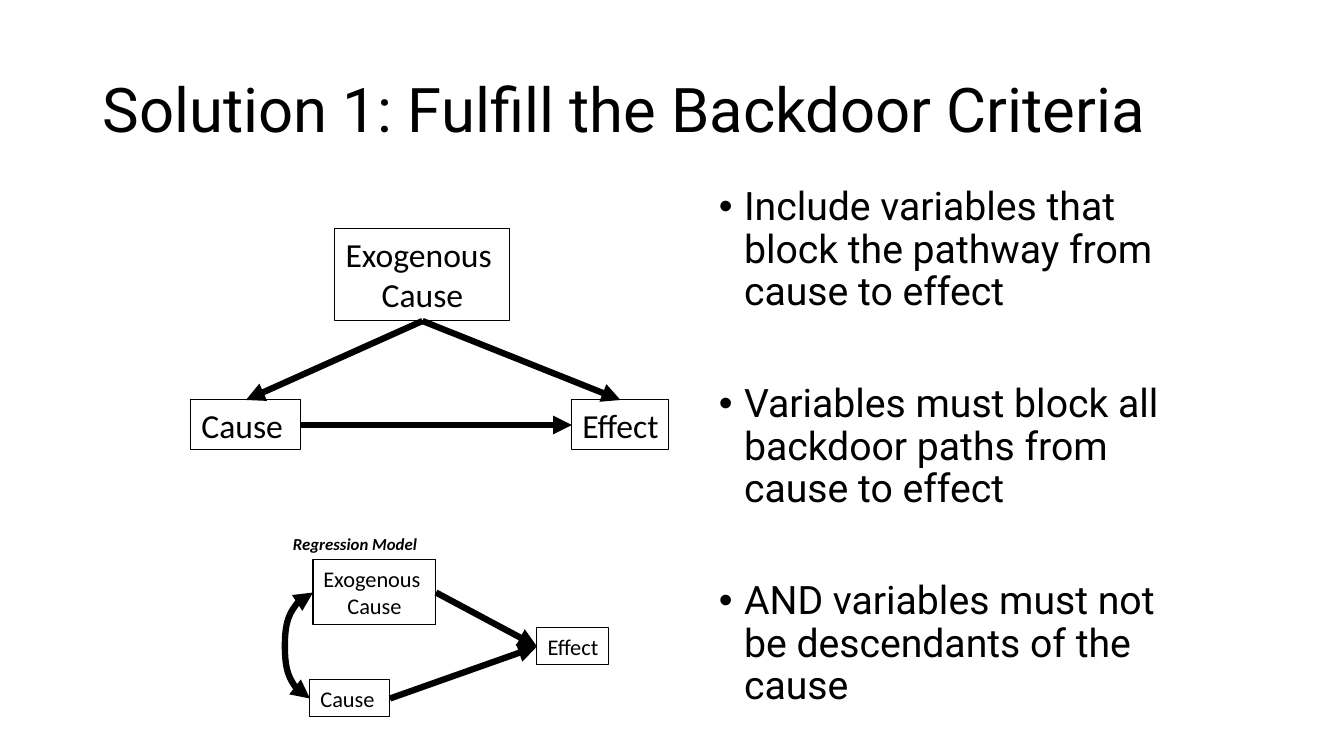
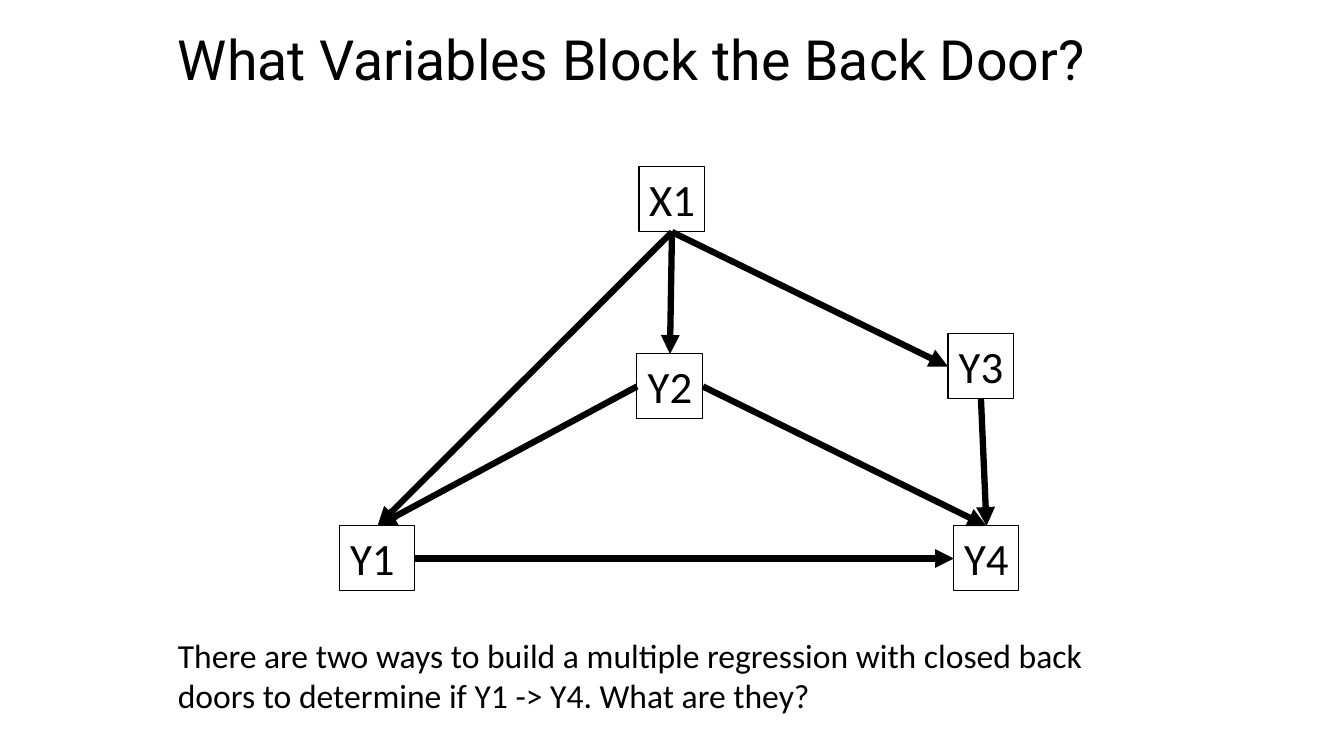
from lxml import etree
from pptx import Presentation
from pptx.dml.color import RGBColor
from pptx.enum.shapes import MSO_CONNECTOR, MSO_SHAPE
from pptx.enum.text import MSO_ANCHOR, MSO_AUTO_SIZE, PP_ALIGN
from pptx.oxml.ns import qn
from pptx.util import Emu, Pt

RECT = MSO_SHAPE.RECTANGLE
STRAIGHT, CURVE = MSO_CONNECTOR.STRAIGHT, MSO_CONNECTOR.CURVE
TOP, MIDDLE = MSO_ANCHOR.TOP, MSO_ANCHOR.MIDDLE
LEFT, CENTER = PP_ALIGN.LEFT, PP_ALIGN.CENTER
GROW = MSO_AUTO_SIZE.SHAPE_TO_FIT_TEXT

SCALE = 12192000 / 1344
N, W, S, E = range(4)


def px(n):
    return Emu(round(n * SCALE))


def rgb(value):
    return RGBColor.from_string(value)


class Deck:
    ink = "000000"
    heading_font = "Roboto"
    body_font = "Calibri"

    def __init__(self):
        self.prs = Presentation()
        self.prs.slide_width, self.prs.slide_height = px(1344), px(756)
        self.s = None

    def slide(self):
        self.s = self.prs.slides.add_slide(self.prs.slide_layouts[6])

    def set_text(self, sp, lines, font, frame, para):
        tf = sp.text_frame
        for key, value in frame.items():
            setattr(tf, key, value)
        for i, line in enumerate(lines):
            p = tf.paragraphs[0] if i == 0 else tf.add_paragraph()
            for key, value in para.items():
                if i or key != "space_before":
                    setattr(p, key, value)
            r = p.add_run()
            r.text = line
            for key, value in font.items():
                setattr(r.font, key, value)
            r.font.color.rgb = rgb(self.ink)
        return tf

    def text(self, box, lines, font, frame, para):
        sp = self.s.shapes.add_textbox(*map(px, box))
        return self.set_text(sp, lines, font, frame, para)

    def title(self, box, line, size):
        self.text(box, [line], {"name": self.heading_font, "size": Pt(size)},
                  {"word_wrap": True, "vertical_anchor": MIDDLE},
                  {"line_spacing": 0.9})

    def bullets(self, box, lines, size, gap):
        tf = self.text(box, lines,
                       {"name": self.heading_font, "size": Pt(size)},
                       {"word_wrap": True},
                       {"line_spacing": 0.9, "space_before": Pt(gap)})
        for p in tf.paragraphs:
            pPr = p._p.get_or_add_pPr()
            pPr.set("marL", "228600")
            pPr.set("indent", "-228600")
            etree.SubElement(pPr, qn("a:buFont")).set("typeface", "Arial")
            etree.SubElement(pPr, qn("a:buChar")).set("char", "•")

    def note(self, box, line, size, wrap=True, **style):
        self.text(box, [line],
                  {"name": self.body_font, "size": Pt(size), **style},
                  {"word_wrap": wrap, "auto_size": GROW},
                  {"alignment": LEFT})

    def node(self, box, lines, size):
        sp = self.s.shapes.add_shape(RECT, *map(px, box))
        sp.shadow.inherit = False
        sp.fill.background()
        sp.line.color.rgb = rgb(self.ink)
        sp.line.width = Pt(0.75)
        self.set_text(sp, lines, {"name": self.body_font, "size": Pt(size)},
                      {"word_wrap": False, "auto_size": GROW,
                       "vertical_anchor": TOP},
                      {"alignment": CENTER})
        return sp

    def arrow(self, start, start_side, end, end_side, kind=STRAIGHT,
              ends=("tailEnd",)):
        cxn = self.s.shapes.add_connector(kind, 0, 0, 0, 0)
        cxn.begin_connect(start, start_side)
        cxn.end_connect(end, end_side)
        cxn.line.color.rgb = rgb(self.ink)
        cxn.line.width = Pt(4.5)
        spPr = cxn._element.spPr
        ln = spPr.find(qn("a:ln"))
        for tag in ends:
            etree.SubElement(ln, qn(f"a:{tag}")).set("type", "triangle")
        etree.SubElement(spPr, qn("a:effectLst"))
        return cxn

    def double_arc(self, start, end, bulge):
        cxn = self.arrow(start, W, end, W, CURVE, ("headEnd", "tailEnd"))
        spPr = cxn._element.spPr
        xfrm = spPr.find(qn("a:xfrm"))
        xfrm.attrib.pop("flipH", None)
        xfrm.set("rot", "10800000")
        xfrm.set("flipV", "1")
        geom = spPr.find(qn("a:prstGeom"))
        guides = geom.find(qn("a:avLst"))
        if guides is None:
            guides = etree.SubElement(geom, qn("a:avLst"))
        guide = etree.SubElement(guides, qn("a:gd"))
        guide.set("name", "adj1")
        guide.set("fmla", f"val {round(px(bulge) / cxn.width * 100000)}")


def backdoor_criteria(d):
    d.slide()
    d.title((93, 40, 1159, 146), "Solution 1: Fulfill the Backdoor Criteria", 44)
    d.bullets((709, 182, 467, 537), [
        "Include variables that block the pathway from cause to effect",
        "Variables must block all backdoor paths from cause to effect",
        "AND variables must not be descendants of the cause",
    ], 28, 50)

    cause = d.node((191, 400, 110, 50), ["Cause "], 24)
    effect = d.node((572, 400, 97, 50), ["Effect"], 24)
    exogenous = d.node((335, 229, 175, 92), ["Exogenous ", "Cause"], 24)
    d.arrow(cause, E, effect, W)
    d.arrow(exogenous, S, cause, N)
    d.arrow(exogenous, S, effect, N)

    d.note((283, 529, 146, 30), "Regression Model", 12, False,
           bold=True, italic=True)
    cause = d.node((310, 680, 80, 37), ["Cause "], 16)
    exogenous = d.node((313, 560, 123, 65), ["Exogenous ", "Cause"], 16)
    effect = d.node((537, 628, 72, 37), ["Effect"], 16)
    d.arrow(cause, E, effect, W)
    d.arrow(exogenous, E, effect, W)
    d.double_arc(exogenous, cause, 28)


def back_door_variables(d):
    d.slide()
    d.title((168, 0, 1008, 126), "What Variables Block the Back Door?", 39.6)
    boxes = {
        "Y1 ": (340, 526, 75, 65),
        "Y4": (954, 526, 65, 65),
        "X1": (639, 167, 66, 65),
        "Y2": (637, 354, 66, 65),
        "Y3": (948, 334, 66, 65),
    }
    nodes = {name.strip(): d.node(box, [name], 32)
             for name, box in boxes.items()}
    for start, start_side, end, end_side in [
        ("Y1", E, "Y4", W),
        ("X1", S, "Y1", N),
        ("X1", S, "Y2", N),
        ("X1", S, "Y3", W),
        ("Y2", W, "Y1", N),
        ("Y2", E, "Y4", N),
        ("Y3", S, "Y4", N),
    ]:
        d.arrow(nodes[start], start_side, nodes[end], end_side)
    d.note((168, 630, 1008, 92),
           "There are two ways to build a multiple regression with closed back "
           "doors to determine if Y1 -> Y4. What are they?", 24)


def main():
    d = Deck()
    backdoor_criteria(d)
    back_door_variables(d)
    d.prs.save("out.pptx")


if __name__ == "__main__":
    main()
